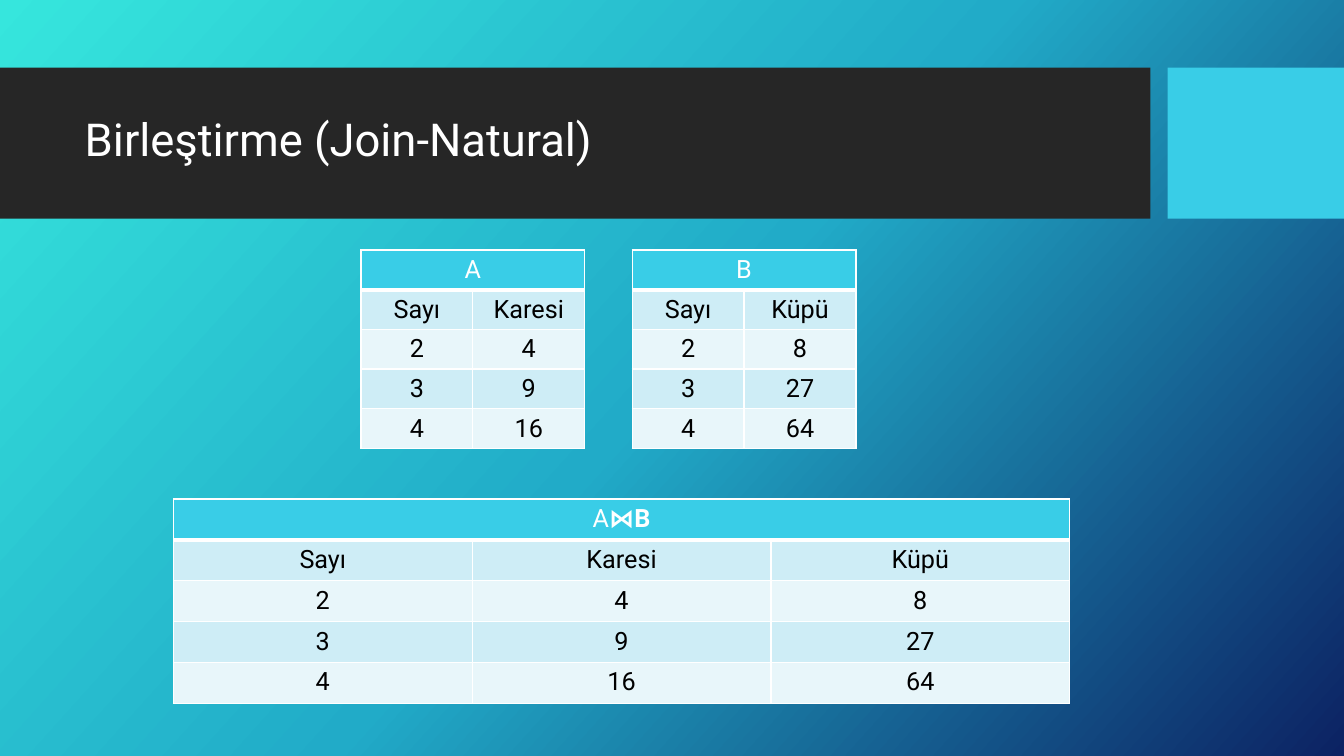
"""Build the slide on the natural join of two small tables."""
from copy import deepcopy
from dataclasses import dataclass

from pptx import Presentation
from pptx.dml.color import RGBColor
from pptx.enum.shapes import MSO_SHAPE
from pptx.enum.text import MSO_ANCHOR, PP_ALIGN
from pptx.oxml.ns import qn
from pptx.oxml.xmlchemy import OxmlElement
from pptx.util import Emu, Pt

PX = 9144
FONT = "Roboto"
TITLE_ONLY = 5
RECTANGLE = MSO_SHAPE.RECTANGLE
MIDDLE = MSO_ANCHOR.MIDDLE
LEFT, CENTER = PP_ALIGN.LEFT, PP_ALIGN.CENTER

WHITE = RGBColor(0xFF, 0xFF, 0xFF)
BLACK = RGBColor(0x00, 0x00, 0x00)
CHARCOAL = RGBColor(0x26, 0x26, 0x26)
CYAN = RGBColor(0x39, 0xCD, 0xE7)
BAND_DARK = RGBColor(0xCE, 0xED, 0xF6)
BAND_LIGHT = RGBColor(0xE8, 0xF6, 0xFA)
GRADIENT = (
    (0.0, RGBColor(0x36, 0xE6, 0xDD)),
    (0.5, RGBColor(0x21, 0xAB, 0xC8)),
    (1.0, RGBColor(0x0C, 0x22, 0x63)),
)
GRADIENT_ANGLE = 360 - 42


@dataclass(frozen=True)
class Frame:
    left: int
    top: int
    width: int
    height: int

    def emu(self) -> tuple[Emu, ...]:
        return tuple(Emu(n * PX) for n in (self.left, self.top, self.width, self.height))


@dataclass(frozen=True)
class Bar:
    frame: Frame
    color: RGBColor


@dataclass(frozen=True)
class Span:
    text: str
    bold: bool = False


@dataclass(frozen=True)
class Relation:
    frame: Frame
    heading: tuple[Span, ...]
    rows: tuple[tuple[str, ...], ...]


NUMBERS = ("Sayı", "2", "3", "4")
SQUARES = ("Karesi", "4", "9", "16")
CUBES = ("Küpü", "8", "27", "64")

TITLE_FRAME = Frame(74, 82, 1051, 118)
BARS = (
    Bar(Frame(0, 67, 1141, 150), CHARCOAL),
    Bar(Frame(1158, 67, 175, 150), CYAN),
)
RELATIONS = (
    Relation(Frame(358, 248, 222, 197), (Span("A"),), tuple(zip(NUMBERS, SQUARES))),
    Relation(Frame(627, 248, 222, 197), (Span("B"),), tuple(zip(NUMBERS, CUBES))),
    Relation(
        Frame(172, 495, 889, 203),
        (Span("A"), Span("⋈B", bold=True)),
        tuple(zip(NUMBERS, SQUARES, CUBES)),
    ),
)


def paint_background(page) -> None:
    fill = page.background.fill
    fill.gradient()
    fill.gradient_angle = GRADIENT_ANGLE
    stop_list = page.element.find(".//" + qn("a:gsLst"))
    stop_list.append(deepcopy(stop_list[0]))
    for stop, (position, color) in zip(fill.gradient_stops, GRADIENT):
        stop.position = position
        stop.color.rgb = color


def add_bar(page, bar: Bar) -> None:
    box = page.shapes.add_shape(RECTANGLE, *bar.frame.emu())
    box.shadow.inherit = False
    box.fill.solid()
    box.fill.fore_color.rgb = bar.color
    box.line.fill.background()


def add_span(para, span: Span, size: float, color: RGBColor) -> None:
    run = para.add_run()
    run.text = span.text
    run.font.name = FONT
    run.font.size = Pt(size)
    run.font.bold = span.bold
    run.font.color.rgb = color


def place_title(page, text: str) -> None:
    title = page.shapes.title
    title.left, title.top, title.width, title.height = TITLE_FRAME.emu()
    title.text_frame.vertical_anchor = MIDDLE
    para = title.text_frame.paragraphs[0]
    para.alignment = LEFT
    para.line_spacing = 0.9
    add_span(para, Span(text), 32.4, WHITE)
    page.shapes.element.append(title.element)


def add_borders(cell, bottom: float) -> None:
    properties = cell._tc.get_or_add_tcPr()
    for side, width in (("L", 1), ("R", 1), ("T", 1), ("B", bottom)):
        line = OxmlElement(f"a:ln{side}")
        line.set("w", str(Pt(width)))
        solid = OxmlElement("a:solidFill")
        color = OxmlElement("a:srgbClr")
        color.set("val", str(WHITE))
        solid.append(color)
        line.append(solid)
        properties.append(line)


def format_cell(cell, spans: tuple[Span, ...], fill: RGBColor, color: RGBColor, bottom: float) -> None:
    add_borders(cell, bottom)
    cell.fill.solid()
    cell.fill.fore_color.rgb = fill
    para = cell.text_frame.paragraphs[0]
    para.alignment = CENTER
    for span in spans:
        add_span(para, span, 18, color)


def add_relation(page, relation: Relation) -> None:
    columns = len(relation.rows[0])
    table = page.shapes.add_table(len(relation.rows) + 1, columns, *relation.frame.emu()).table
    table.first_row = False
    table.horz_banding = False
    table.cell(0, 0).merge(table.cell(0, columns - 1))
    for column in range(columns):
        spans = relation.heading if column == 0 else ()
        format_cell(table.cell(0, column), spans, CYAN, WHITE, 3)
    for row, values in enumerate(relation.rows, start=1):
        band = BAND_DARK if row % 2 else BAND_LIGHT
        for column, value in enumerate(values):
            format_cell(table.cell(row, column), (Span(value),), band, BLACK, 1)


def main() -> None:
    deck = Presentation()
    deck.slide_width, deck.slide_height = Emu(1333 * PX), Emu(750 * PX)
    page = deck.slides.add_slide(deck.slide_layouts[TITLE_ONLY])
    paint_background(page)
    for bar in BARS:
        add_bar(page, bar)
    place_title(page, "Birleştirme (Join-Natural)")
    for relation in RELATIONS:
        add_relation(page, relation)
    deck.save("out.pptx")


if __name__ == "__main__":
    main()
